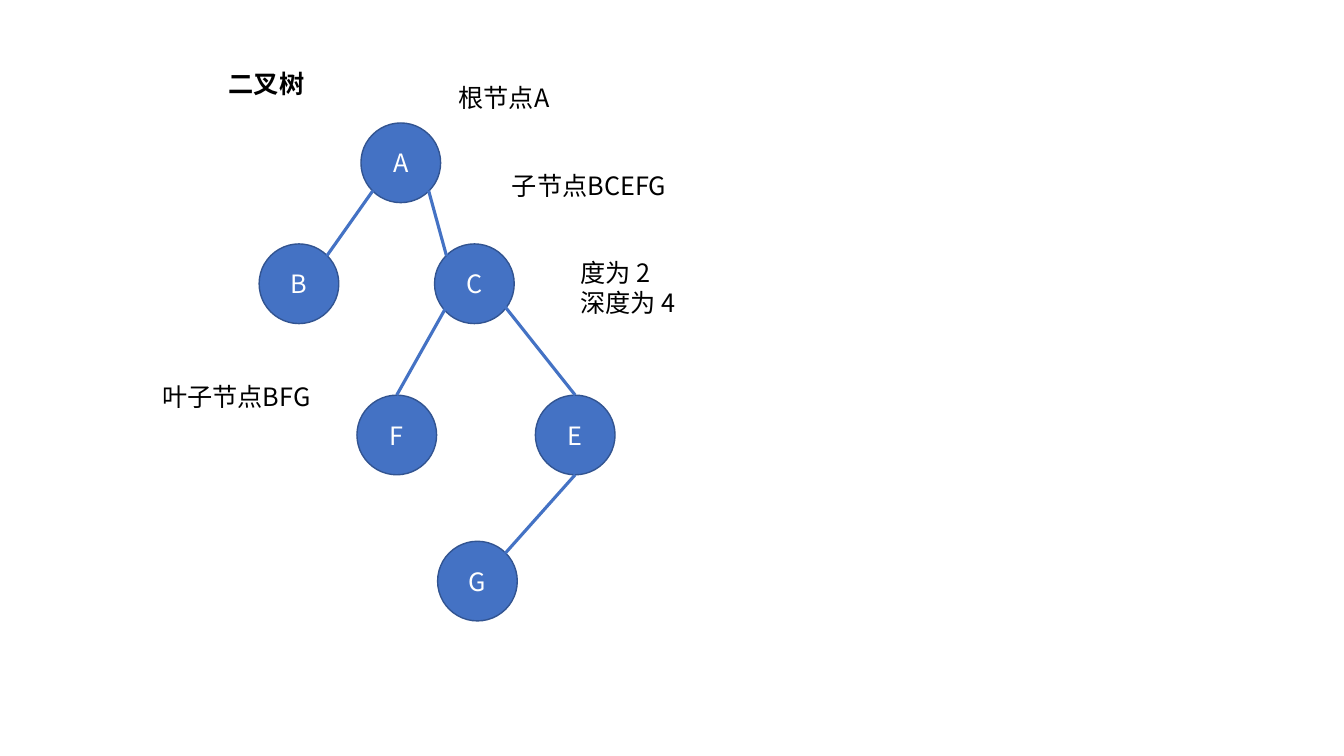
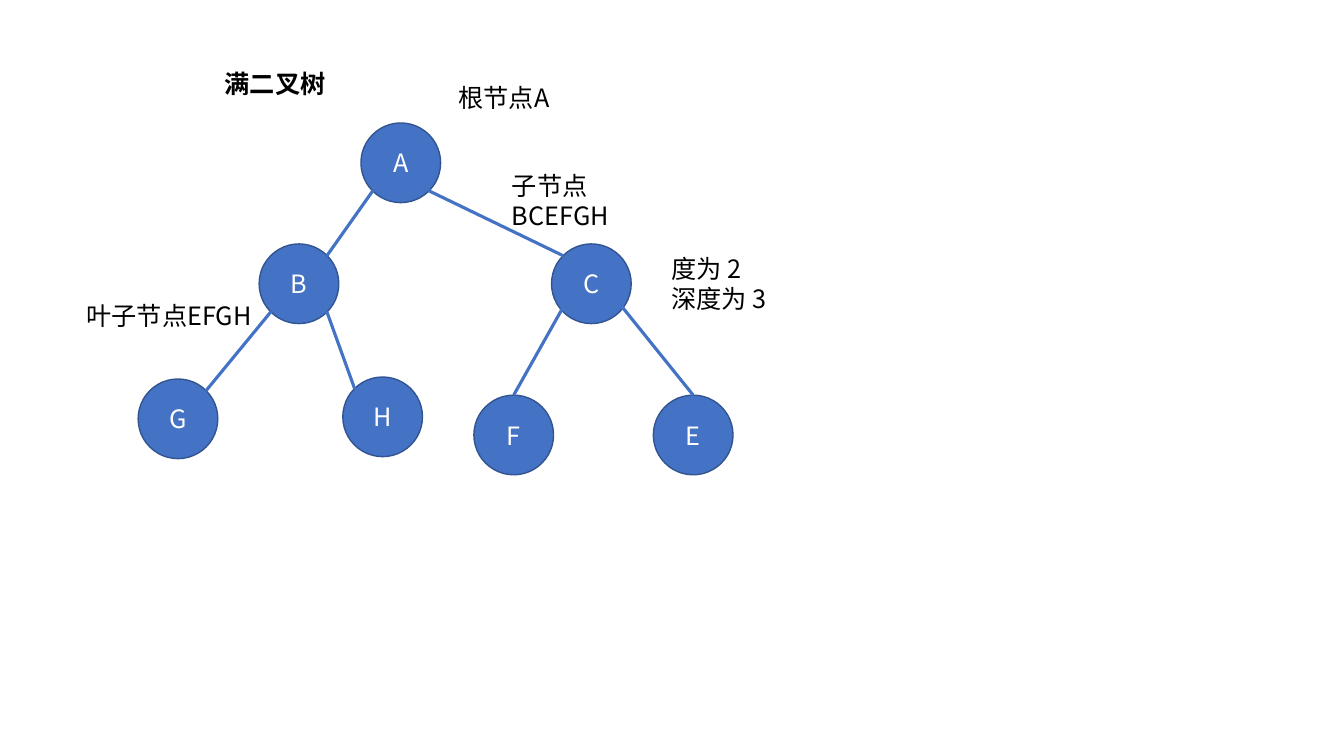
from lxml.etree import SubElement
from pptx import Presentation
from pptx.dml.color import RGBColor
from pptx.enum.shapes import MSO_CONNECTOR, MSO_SHAPE
from pptx.enum.text import MSO_ANCHOR, MSO_AUTO_SIZE, PP_ALIGN
from pptx.oxml.ns import qn
from pptx.util import Inches, Pt

FONT, TEXT_SIZE = "Noto Sans CJK SC", 18
NODE_FILL, NODE_BORDER, NODE_TEXT, LABEL_TEXT = "4472C4", "325491", "FFFFFF", "000000"
DIAMETER = 0.79
NARROW, WIDE = 1.3, 1.84
LINE_HEIGHT, LABEL_PADDING = 0.3, 0.1

# Where a branch meets a node, as shares of the node's diameter
ANCHORS = {
    "top": (0.5, 0),
    "bottom": (0.5, 1),
    "upper left": (0.15, 0.15),
    "upper right": (0.85, 0.15),
    "lower left": (0.15, 0.85),
    "lower right": (0.85, 0.85),
    "side left": (0.16, 0.77),
    "side right": (0.87, 0.77),
}

# Parts that both trees have
ROOT_NODES = {"A": (3.58, 1.22), "B": (2.57, 2.42)}
SHARED_BRANCHES = [
    ("A", "lower left", "B", "upper right"),
    ("A", "lower right", "C", "upper left"),
    ("C", "side left", "F", "top"),
    ("C", "side right", "E", "top"),
]
ROOT_LABEL = ("根节点A", 4.45, 0.77, NARROW)

TREES = [
    {
        "title": ("二叉树", 2.17, 0.63, NARROW),
        "nodes": {"C": (4.31, 2.42), "F": (3.54, 3.92), "E": (5.31, 3.92), "G": (4.34, 5.37)},
        "branches": [("E", "bottom", "G", "upper right")],
        "labels": [
            ("子节点BCEFG", 4.98, 1.64, WIDE),
            ("叶子节点BFG", 1.51, 3.73, WIDE),
            ("度为 2\n深度为 4", 5.66, 2.5, WIDE),
        ],
    },
    {
        "title": ("满二叉树", 2.13, 0.63, NARROW),
        "nodes": {"C": (5.47, 2.42), "F": (4.7, 3.92), "E": (6.48, 3.92),
                  "G": (1.37, 3.76), "H": (3.4, 3.74)},
        "branches": [
            ("B", "lower left", "G", "upper right"),
            ("B", "lower right", "H", "upper left"),
        ],
        "labels": [
            ("子节点BCEFGH", 4.98, 1.64, WIDE),
            ("叶子节点EFGH", 0.76, 2.93, WIDE),
            ("度为 2\n深度为 3", 6.56, 2.46, WIDE),
        ],
    },
]


def color(hex_value):
    return RGBColor.from_string(hex_value)


def style_text(frame, text, text_color, align, bold=False):
    frame.text = text
    for paragraph in frame.paragraphs:
        paragraph.alignment = align
        for run in paragraph.runs:
            run.font.name = FONT
            run.font.size = Pt(TEXT_SIZE)
            run.font.bold = bold
            run.font.color.rgb = color(text_color)
            SubElement(run.font._element, qn("a:ea")).set("typeface", FONT)


def add_node(slide, letter, left, top):
    node = slide.shapes.add_shape(MSO_SHAPE.OVAL, Inches(left), Inches(top),
                                  Inches(DIAMETER), Inches(DIAMETER))
    node.shadow.inherit = False
    node.fill.solid()
    node.fill.fore_color.rgb = color(NODE_FILL)
    node.line.color.rgb = color(NODE_BORDER)
    node.line.width = Pt(1)
    node.text_frame.vertical_anchor = MSO_ANCHOR.MIDDLE
    style_text(node.text_frame, letter, NODE_TEXT, PP_ALIGN.CENTER)


def anchor_point(corner, anchor):
    return [Inches(start + share * DIAMETER) for start, share in zip(corner, ANCHORS[anchor])]


def add_branch(slide, start, end):
    branch = slide.shapes.add_connector(MSO_CONNECTOR.STRAIGHT, *start, *end)
    branch.line.color.rgb = color(NODE_FILL)
    branch.line.width = Pt(2.25)
    SubElement(branch._element.spPr, qn("a:effectLst"))


def add_label(slide, text, left, top, width, bold=False):
    height = LINE_HEIGHT * len(text.split("\n")) + LABEL_PADDING
    label = slide.shapes.add_textbox(Inches(left), Inches(top), Inches(width), Inches(height))
    label.text_frame.word_wrap = True
    label.text_frame.auto_size = MSO_AUTO_SIZE.SHAPE_TO_FIT_TEXT
    style_text(label.text_frame, text, LABEL_TEXT, PP_ALIGN.LEFT, bold)


def add_tree(slide, tree):
    nodes = ROOT_NODES | tree["nodes"]
    for letter, corner in nodes.items():
        add_node(slide, letter, *corner)
    for parent, parent_anchor, child, child_anchor in SHARED_BRANCHES + tree["branches"]:
        add_branch(slide, anchor_point(nodes[parent], parent_anchor),
                   anchor_point(nodes[child], child_anchor))
    add_label(slide, *tree["title"], bold=True)
    for label in [ROOT_LABEL] + tree["labels"]:
        add_label(slide, *label)


def main():
    presentation = Presentation()
    presentation.slide_width, presentation.slide_height = Inches(13.33), Inches(7.5)
    blank_layout = presentation.slide_layouts[6]
    for tree in TREES:
        add_tree(presentation.slides.add_slide(blank_layout), tree)
    presentation.save("out.pptx")


if __name__ == "__main__":
    main()
